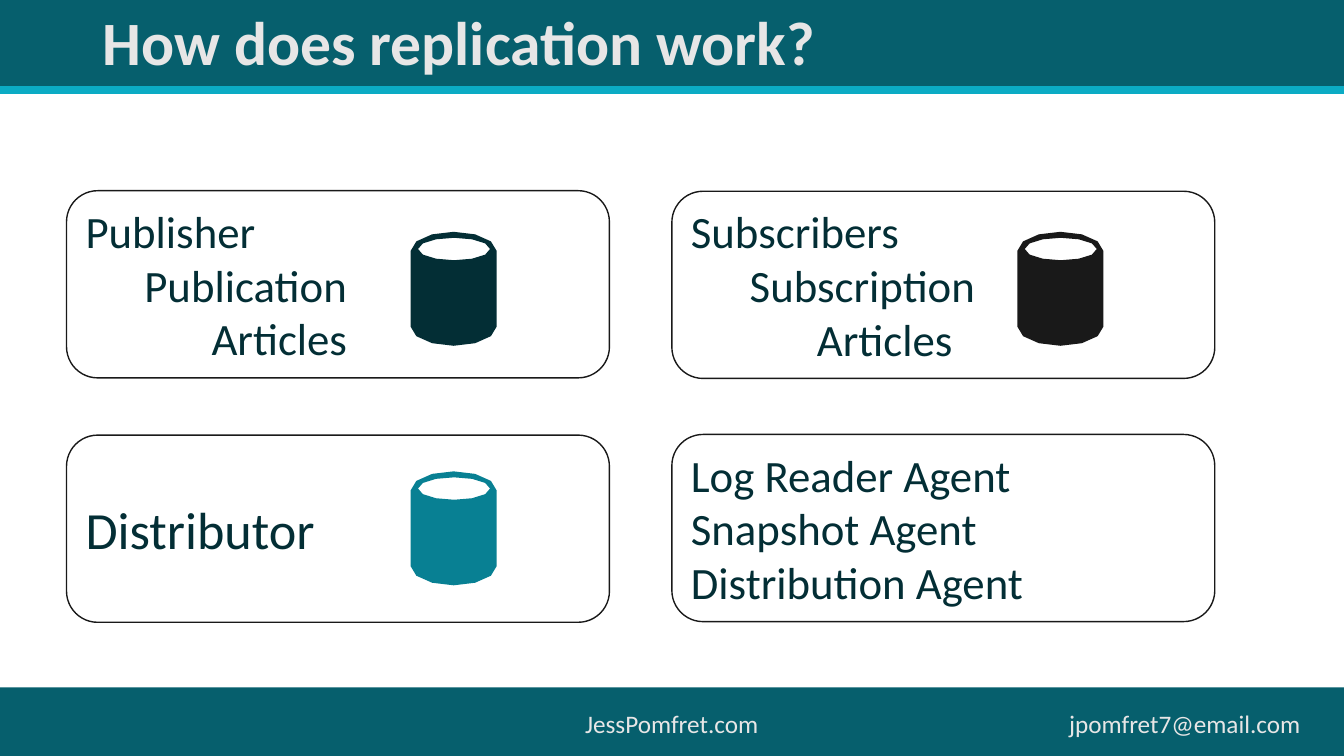
"""Build the slide that introduces the parts of database replication."""
from math import cos, pi, sin

from lxml.etree import SubElement
from pptx import Presentation
from pptx.dml.color import RGBColor
from pptx.enum.shapes import MSO_CONNECTOR as Connector, MSO_SHAPE as Shape
from pptx.enum.text import MSO_ANCHOR as Anchor, PP_ALIGN as Align
from pptx.oxml.ns import qn
from pptx.util import Pt

BAND = RGBColor(0x06, 0x5F, 0x6D)
ACCENT = RGBColor(0x0B, 0xAB, 0xC4)
PALE = RGBColor(0xE7, 0xE6, 0xE6)
WHITE = RGBColor(0xFF, 0xFF, 0xFF)
OUTLINE = RGBColor(0x19, 0x19, 0x19)
DARK = RGBColor(0x03, 0x2E, 0x35)
TEAL = RGBColor(0x08, 0x80, 0x93)

TITLE = "How does replication work?"
FOOTERS = [
    ("JessPomfret.com", 406.8, 146, Align.CENTER),
    ("jpomfret7@email.com", 692.6, 243.4, Align.RIGHT),
]
CARDS = [
    {"lines": [("Publisher", 0), ("Publication", 1), ("Articles", 2)],
     "top": 136.2, "size": 32, "drum": DARK},
    {"lines": [("Subscribers", 0), ("Subscription", 1), ("Articles", 2)],
     "top": 136.6, "size": 32, "drum": OUTLINE},
    {"lines": [("Distributor", 0)],
     "top": 310.8, "size": 37.3, "drum": TEAL},
    {"lines": [("Log Reader Agent", 0), ("Snapshot Agent", 0), ("Distribution Agent", 0)],
     "top": 310.3, "size": 32, "drum": None},
]

SLIDE_WIDTH, SLIDE_HEIGHT = 960, 540
HEADER_HEIGHT, FOOTER_TOP = 64.4, 491
CARD_LEFT, CARD_STEP, CARD_WIDTH, CARD_HEIGHT = 47.5, 432.4, 387.8, 133.7
INDENTS = [0, 42, 90]
DRUM_LEFT, DRUM_STEP, DRUM_TOPS = 293.3, 433.4, [165.6, 336.7]
DRUM_WIDTH, DRUM_HEIGHT, DRUM_CURVE = 61.5, 81.4, 13.7
HOLE_WIDTH, HOLE_HEIGHT, HOLE_CENTER = 51.4, 16, 12.3


def format_text(paragraph, size, color, bold=False):
    for run in paragraph.runs:
        run.font.name = "Calibri"
        run.font.size = Pt(size)
        run.font.color.rgb = color
        run.font.bold = bold


def add_band(slide, top, height):
    band = slide.shapes.add_shape(Shape.RECTANGLE, 0, Pt(top), Pt(SLIDE_WIDTH), Pt(height))
    band.shadow.inherit = False
    band.fill.solid()
    band.fill.fore_color.rgb = BAND
    band.line.fill.background()


def add_rule(slide):
    rule = slide.shapes.add_connector(
        Connector.STRAIGHT, 0, Pt(HEADER_HEIGHT), Pt(SLIDE_WIDTH), Pt(HEADER_HEIGHT))
    rule.line.color.rgb = ACCENT
    rule.line.width = Pt(6)
    SubElement(rule.element.spPr, qn("a:effectLst"))


def add_footer(slide, text, left, width, alignment):
    box = slide.shapes.add_textbox(Pt(left), Pt(502.6), Pt(width), Pt(29))
    box.text_frame.word_wrap = True
    box.text_frame.text = text
    paragraph = box.text_frame.paragraphs[0]
    paragraph.alignment = alignment
    format_text(paragraph, 18, PALE)


def place_title(slide):
    title = slide.shapes.title
    title.left, title.top, title.width, title.height = Pt(66), 0, Pt(828), Pt(64.8)
    title.text_frame.text = TITLE
    title.text_frame.vertical_anchor = Anchor.MIDDLE
    paragraph = title.text_frame.paragraphs[0]
    paragraph.alignment = Align.LEFT
    paragraph.line_spacing = 0.9
    format_text(paragraph, 44, PALE, bold=True)
    title.element.getparent().append(title.element)


def arc(center_x, center_y, width, height, first, last, steps):
    angles = [first + (last - first) * step / steps for step in range(steps + 1)]
    return [(Pt(center_x + width / 2 * cos(angle)), Pt(center_y + height / 2 * sin(angle)))
            for angle in angles]


def add_drum(shapes, left, top, color):
    center = left + DRUM_WIDTH / 2
    bottom = top + DRUM_HEIGHT
    body = (arc(center, bottom - DRUM_CURVE, DRUM_WIDTH, 2 * DRUM_CURVE, 0, pi, 6)
            + arc(center, top + DRUM_CURVE, DRUM_WIDTH, 2 * DRUM_CURVE, pi, 2 * pi, 6))
    hole = arc(center + 0.3, top + HOLE_CENTER, HOLE_WIDTH, HOLE_HEIGHT, 2 * pi, 0, 12)
    builder = shapes.build_freeform(*body[0])
    builder.add_line_segments(body[1:])
    builder.move_to(*hole[0])
    builder.add_line_segments(hole[1:-1])
    drum = builder.convert_to_shape()
    drum.shadow.inherit = False
    drum.fill.solid()
    drum.fill.fore_color.rgb = color
    drum.line.fill.background()


def add_card(slide, index, lines, top, size, drum):
    row, column = divmod(index, 2)
    left = CARD_LEFT + column * CARD_STEP
    shapes = slide.shapes.add_group_shape().shapes
    card = shapes.add_shape(
        Shape.ROUNDED_RECTANGLE, Pt(left), Pt(top), Pt(CARD_WIDTH), Pt(CARD_HEIGHT))
    card.shadow.inherit = False
    card.fill.solid()
    card.fill.fore_color.rgb = WHITE
    card.line.color.rgb = OUTLINE
    card.line.width = Pt(1)
    frame = card.text_frame
    frame.word_wrap = True
    frame.vertical_anchor = Anchor.MIDDLE
    frame.text = "\n".join(text for text, level in lines)
    for paragraph, (text, level) in zip(frame.paragraphs, lines):
        paragraph.level = level
        paragraph.alignment = Align.LEFT
        paragraph._p.get_or_add_pPr().set("marL", str(Pt(INDENTS[level])))
        format_text(paragraph, size, DARK)
    if drum is not None:
        add_drum(shapes, DRUM_LEFT + column * DRUM_STEP, DRUM_TOPS[row], drum)


def main():
    presentation = Presentation()
    presentation.slide_width, presentation.slide_height = Pt(SLIDE_WIDTH), Pt(SLIDE_HEIGHT)
    slide = presentation.slides.add_slide(presentation.slide_layouts[5])
    add_band(slide, 0, HEADER_HEIGHT)
    add_band(slide, FOOTER_TOP, SLIDE_HEIGHT - FOOTER_TOP)
    for footer in FOOTERS:
        add_footer(slide, *footer)
    add_rule(slide)
    place_title(slide)
    for index, card in enumerate(CARDS):
        add_card(slide, index, **card)
    presentation.save("out.pptx")


if __name__ == "__main__":
    main()
